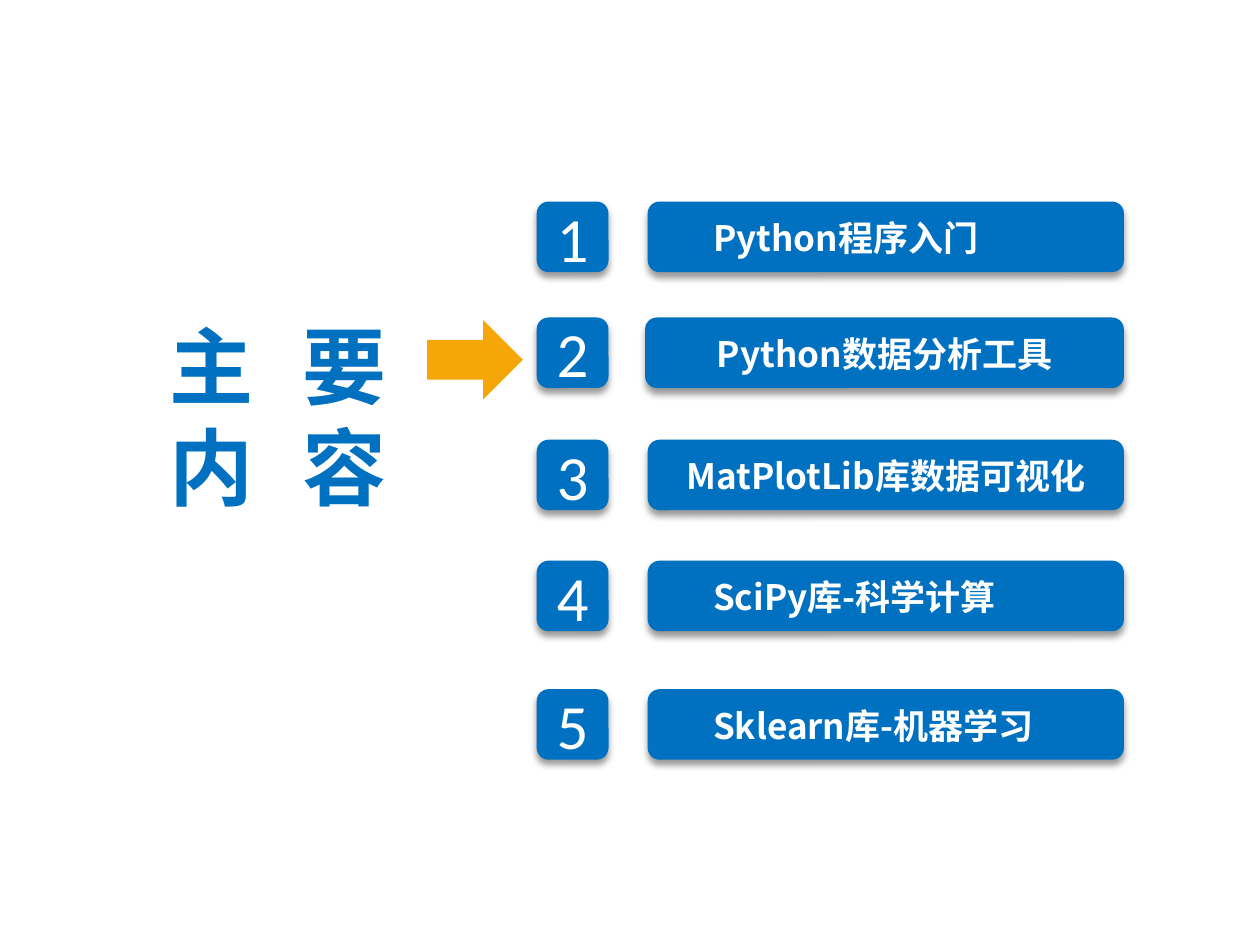
from lxml.etree import SubElement
from pptx import Presentation
from pptx.dml.color import RGBColor
from pptx.enum.shapes import MSO_SHAPE
from pptx.enum.text import MSO_ANCHOR, MSO_AUTO_SIZE, PP_ALIGN
from pptx.oxml.ns import qn
from pptx.util import Inches, Pt

BLUE = RGBColor(0x00, 0x70, 0xC0)
GOLD = RGBColor(0xF5, 0xA6, 0x09)
WHITE = RGBColor(0xFF, 0xFF, 0xFF)
HAN = "Noto Sans CJK SC"

HEADS = [("主", "要"), ("内", "容")]
ITEMS = [
    ("Python程序入门", 1.6, 5.14, 5.53, 3.23),
    ("Python数据分析工具", 2.52, 5.12, 5.56, 3.72),
    ("MatPlotLib库数据可视化", 3.49, 5.14, 5.32, 3.61),
    ("SciPy库-科学计算", 4.45, 5.14, 5.53, 3.23),
    ("Sklearn库-机器学习", 5.47, 5.14, 5.53, 3.23),
]
RIGHT = 8.92
HIGH = 0.56


def box(left, top, width, height):
    return [Inches(v) for v in (left, top, width, height)]


def add_run(para, text, size, color, font, bold=False):
    run = para.add_run()
    run.text = text
    run.font.size = Pt(size)
    run.font.bold = bold
    run.font.color.rgb = color
    run.font.name = font
    SubElement(run.font._element, qn("a:ea"), typeface=font)
    return run


def set_frame(frame, anchor):
    frame.word_wrap = True
    frame.vertical_anchor = anchor
    frame.margin_left = frame.margin_right = Inches(0.13)
    frame.margin_top = frame.margin_bottom = Inches(0.07)


def add_solid(shapes, kind, place, color):
    shape = shapes.add_shape(kind, *box(*place))
    shape.shadow.inherit = False
    shape.fill.solid()
    shape.fill.fore_color.rgb = color
    shape.line.fill.background()
    return shape


def add_tile(shapes, place):
    tile = add_solid(shapes, MSO_SHAPE.ROUNDED_RECTANGLE, place, BLUE)
    effects = tile._element.spPr.find(qn("a:effectLst"))
    shadow = SubElement(effects, qn("a:outerShdw"), blurRad=str(Pt(4)),
                        dist=str(Pt(3)), dir="5400000", rotWithShape="0")
    black = SubElement(shadow, qn("a:srgbClr"), val="000000")
    SubElement(black, qn("a:alpha"), val="40000")
    return tile


def add_item(shapes, num, item):
    text, top, left, inset, width = item
    badge = add_tile(shapes, (4.26, top, 0.57, HIGH))
    set_frame(badge.text_frame, MSO_ANCHOR.MIDDLE)
    para = badge.text_frame.paragraphs[0]
    para.alignment = PP_ALIGN.CENTER
    add_run(para, str(num), 36, WHITE, "Calibri")

    group = shapes.add_group_shape()
    add_tile(group.shapes, (left, top, RIGHT - left, HIGH))
    label = group.shapes.add_textbox(*box(inset, top + 0.05, width, 0.47))
    set_frame(label.text_frame, MSO_ANCHOR.TOP)
    label.text_frame.auto_size = MSO_AUTO_SIZE.SHAPE_TO_FIT_TEXT
    add_run(label.text_frame.paragraphs[0], text, 20, WHITE, HAN, True)


def set_title(title):
    title.left, title.top, title.width, title.height = box(0.33, 2.43, 3.75, 1.75)
    frame = title.text_frame
    set_frame(frame, MSO_ANCHOR.TOP)
    frame.auto_size = MSO_AUTO_SIZE.SHAPE_TO_FIT_TEXT
    for row, (first, last) in enumerate(HEADS):
        para = frame.add_paragraph() if row else frame.paragraphs[0]
        para.alignment = PP_ALIGN.CENTER
        for text, gap in ((first, 200), (" ", 1475), (last, 200)):
            run = add_run(para, text, 48, BLUE, HAN, True)
            run.font._element.set("spc", str(gap))


def main():
    deck = Presentation()
    deck.slide_width, deck.slide_height = Inches(10), Inches(7.5)
    slide = deck.slides.add_slide(deck.slide_layouts[5])
    set_title(slide.shapes.title)
    for num, item in enumerate(ITEMS, 1):
        add_item(slide.shapes, num, item)
    add_solid(slide.shapes, MSO_SHAPE.RIGHT_ARROW, (3.39, 2.54, 0.76, 0.63), GOLD)
    deck.save("out.pptx")


if __name__ == "__main__":
    main()
